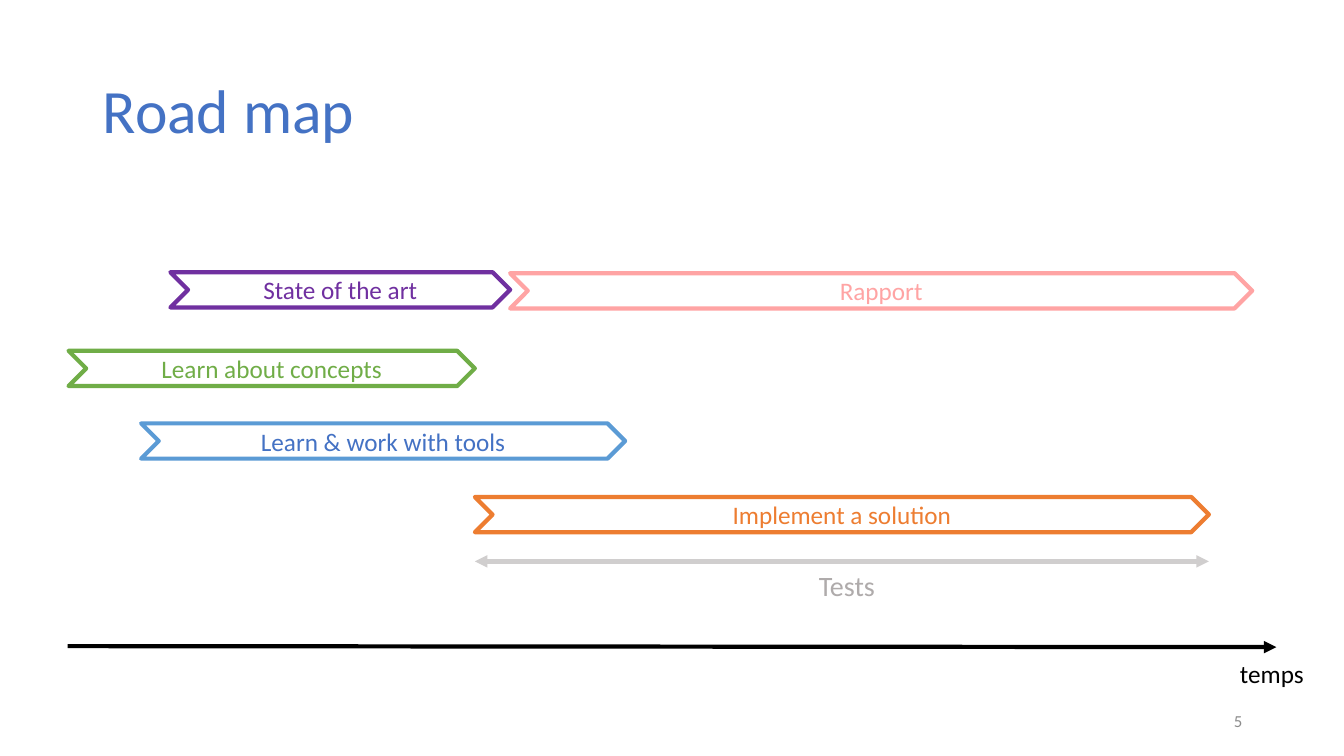
"""Build the road map slide: phase chevrons above a time axis."""
from dataclasses import dataclass

from lxml.etree import SubElement
from pptx import Presentation
from pptx.dml.color import RGBColor
from pptx.enum.shapes import MSO_CONNECTOR as Connector, MSO_SHAPE as Shape
from pptx.enum.text import MSO_ANCHOR as Anchor, PP_ALIGN as Align
from pptx.oxml.ns import qn
from pptx.slide import Slide
from pptx.text.text import TextFrame
from pptx.util import Inches, Pt


@dataclass(frozen=True)
class Theme:
    font: str = "Calibri"
    title_size: int = 44
    tests_size: int = 20
    label_size: int = 18
    number_size: int = 12
    line_width: int = 3
    blue: str = "4472C4"
    sky: str = "5B9BD5"
    purple: str = "7030A0"
    pink: str = "FFA4A4"
    green: str = "70AD47"
    orange: str = "ED7D31"
    black: str = "000000"
    grey: str = "8C8C8C"
    tests_text: str = "AFABAB"
    tests_line: str = "D0CECE"


@dataclass(frozen=True)
class Phase:
    label: str
    left: float
    top: float
    width: float
    outline: str
    ink: str


@dataclass(frozen=True)
class Caption:
    text: str
    left: float
    top: float
    width: float
    height: float
    size: int
    ink: str
    align: Align = Align.LEFT
    anchor: Anchor = Anchor.TOP
    spacing: float = 1.0
    before: int = 0


@dataclass(frozen=True)
class Arrow:
    start: tuple[float, float]
    end: tuple[float, float]
    ink: str
    heads: tuple[str, ...]


THEME = Theme()
PHASE_HEIGHT = 0.35
PHASES = (
    Phase("State of the art", 1.69, 2.7, 3.37, THEME.purple, THEME.purple),
    Phase("Rapport", 5.06, 2.71, 7.36, THEME.pink, THEME.pink),
    Phase("Learn about concepts", 0.68, 3.48, 4.03, THEME.green, THEME.green),
    Phase("Learn & work with tools", 1.4, 4.2, 4.8, THEME.sky, THEME.blue),
    Phase("Implement a solution", 4.71, 4.93, 7.28, THEME.orange, THEME.orange),
)
TITLE = Caption("Road map", 0.92, 0.4, 11.5, 1.45, THEME.title_size, THEME.blue,
                anchor=Anchor.MIDDLE, spacing=0.9)
CAPTIONS = (
    Caption("Tests", 7.38, 5.63, 2.04, 0.57, THEME.tests_size, THEME.tests_text,
            Align.CENTER, spacing=0.9, before=10),
    Caption("temps", 12.2, 6.48, 0.92, 0.4, THEME.label_size, THEME.black),
    Caption("5", 9.42, 6.95, 3, 0.4, THEME.number_size, THEME.grey,
            Align.RIGHT, Anchor.MIDDLE),
)
ARROWS = (
    Arrow((0.67, 6.41), (12.66, 6.42), THEME.black, ("tailEnd",)),
    Arrow((4.71, 5.57), (11.99, 5.57), THEME.tests_line, ("headEnd", "tailEnd")),
)


def apply_format(target: object, values: dict[str, object]) -> None:
    """Set every named format value on the target."""
    for name, value in values.items():
        setattr(target, name, value)


def write_text(frame: TextFrame, text: str, size: int, ink: str, align: Align,
               anchor: Anchor, spacing: float = 1.0, before: int = 0) -> None:
    """Write one formatted paragraph into a text frame."""
    apply_format(frame, {"word_wrap": True, "vertical_anchor": anchor})
    paragraph = frame.paragraphs[0]
    apply_format(paragraph, {"alignment": align, "line_spacing": spacing,
                             "space_before": Pt(before)})
    run = paragraph.add_run()
    run.text = text
    apply_format(run.font, {"name": THEME.font, "size": Pt(size)})
    run.font.color.rgb = RGBColor.from_string(ink)


def write_caption(frame: TextFrame, caption: Caption) -> None:
    """Write a caption with its own format."""
    write_text(frame, caption.text, caption.size, caption.ink, caption.align,
               caption.anchor, caption.spacing, caption.before)


def add_title(slide: Slide, caption: Caption) -> None:
    """Move and fill the title placeholder."""
    title = slide.shapes.title
    apply_format(title, {side: Inches(getattr(caption, side))
                         for side in ("left", "top", "width", "height")})
    write_caption(title.text_frame, caption)


def add_caption(slide: Slide, caption: Caption) -> None:
    """Add a caption in a text box."""
    box = slide.shapes.add_textbox(Inches(caption.left), Inches(caption.top),
                                   Inches(caption.width), Inches(caption.height))
    write_caption(box.text_frame, caption)


def add_phase(slide: Slide, phase: Phase) -> None:
    """Add an outlined chevron for one phase."""
    chevron = slide.shapes.add_shape(Shape.CHEVRON, Inches(phase.left), Inches(phase.top),
                                     Inches(phase.width), Inches(PHASE_HEIGHT))
    chevron.shadow.inherit = False
    chevron.fill.background()
    chevron.line.color.rgb = RGBColor.from_string(phase.outline)
    chevron.line.width = Pt(THEME.line_width)
    write_text(chevron.text_frame, phase.label, THEME.label_size, phase.ink,
               Align.CENTER, Anchor.MIDDLE)


def add_arrow(slide: Slide, arrow: Arrow) -> None:
    """Add a straight line with triangle heads."""
    ends = [Inches(value) for value in (*arrow.start, *arrow.end)]
    connector = slide.shapes.add_connector(Connector.STRAIGHT, *ends)
    connector.line.color.rgb = RGBColor.from_string(arrow.ink)
    connector.line.width = Pt(THEME.line_width)
    properties = connector._element.spPr
    for head in arrow.heads:
        SubElement(properties.find(qn("a:ln")), qn(f"a:{head}"), type="triangle")
    SubElement(properties, qn("a:effectLst"))


def main() -> None:
    """Build and save the slide."""
    deck = Presentation()
    apply_format(deck, {"slide_width": Inches(13.33), "slide_height": Inches(7.5)})
    slide = deck.slides.add_slide(deck.slide_layouts.get_by_name("Title Only"))
    add_title(slide, TITLE)
    for phase in PHASES:
        add_phase(slide, phase)
    for arrow in ARROWS:
        add_arrow(slide, arrow)
    for caption in CAPTIONS:
        add_caption(slide, caption)
    deck.save("out.pptx")


if __name__ == "__main__":
    main()
